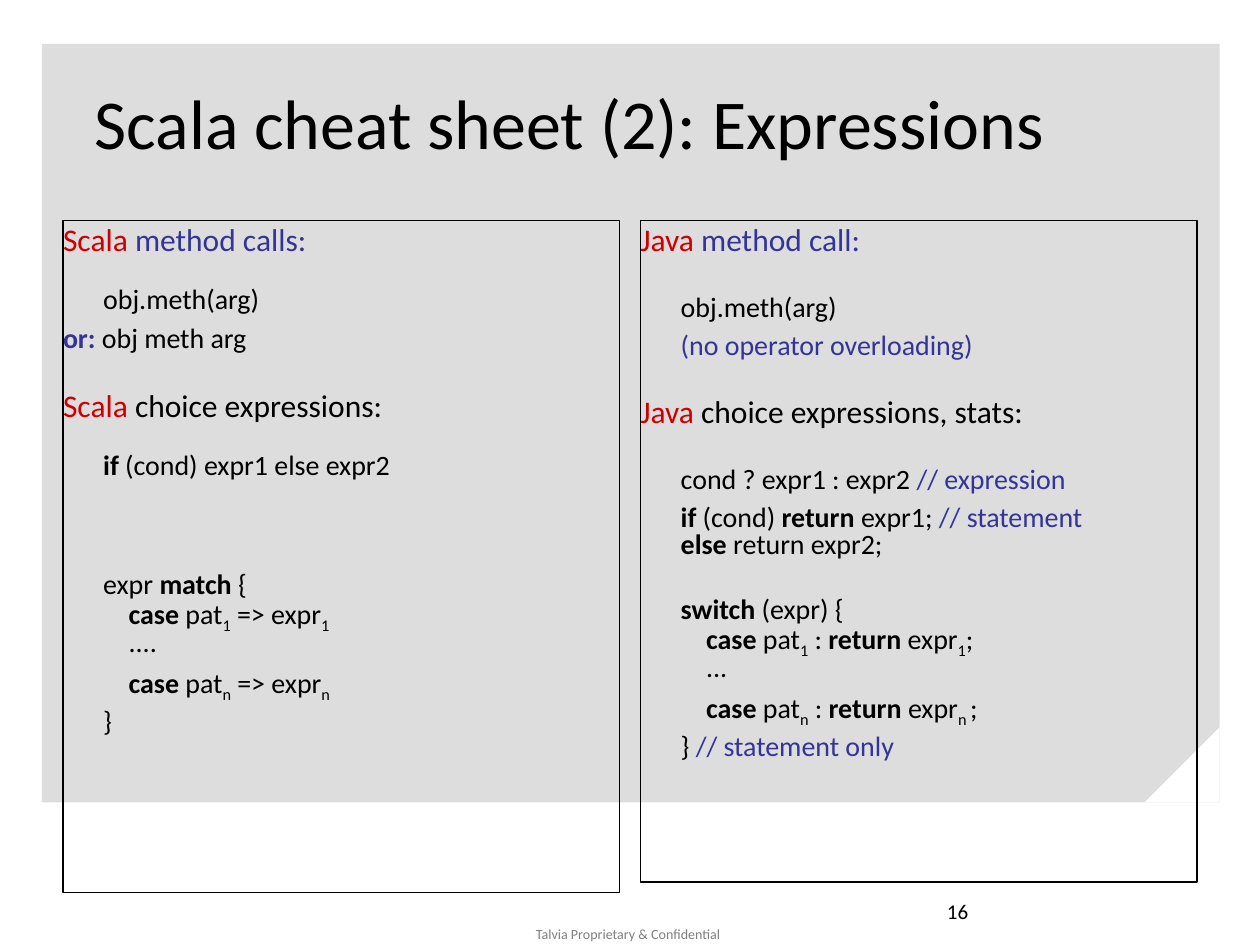
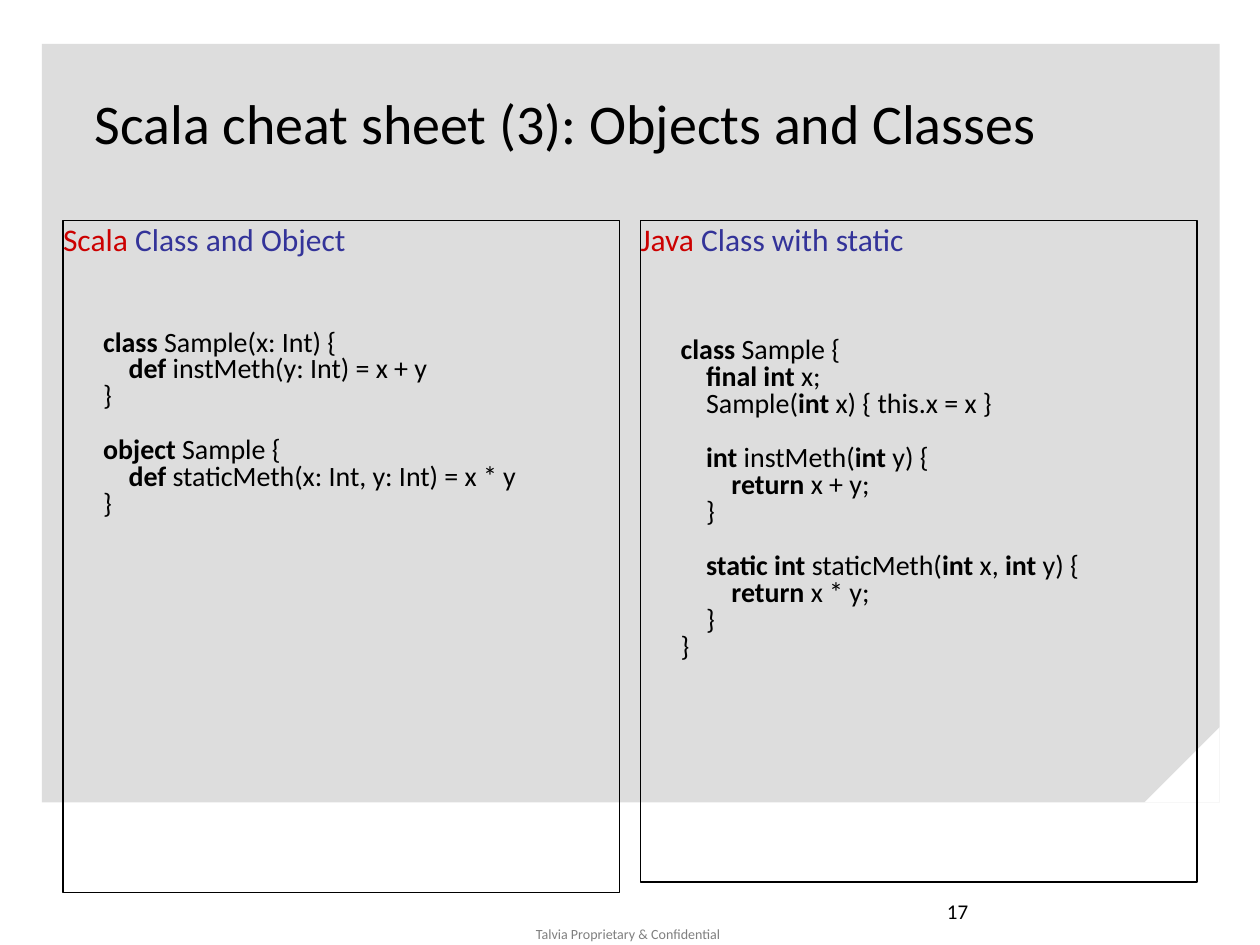
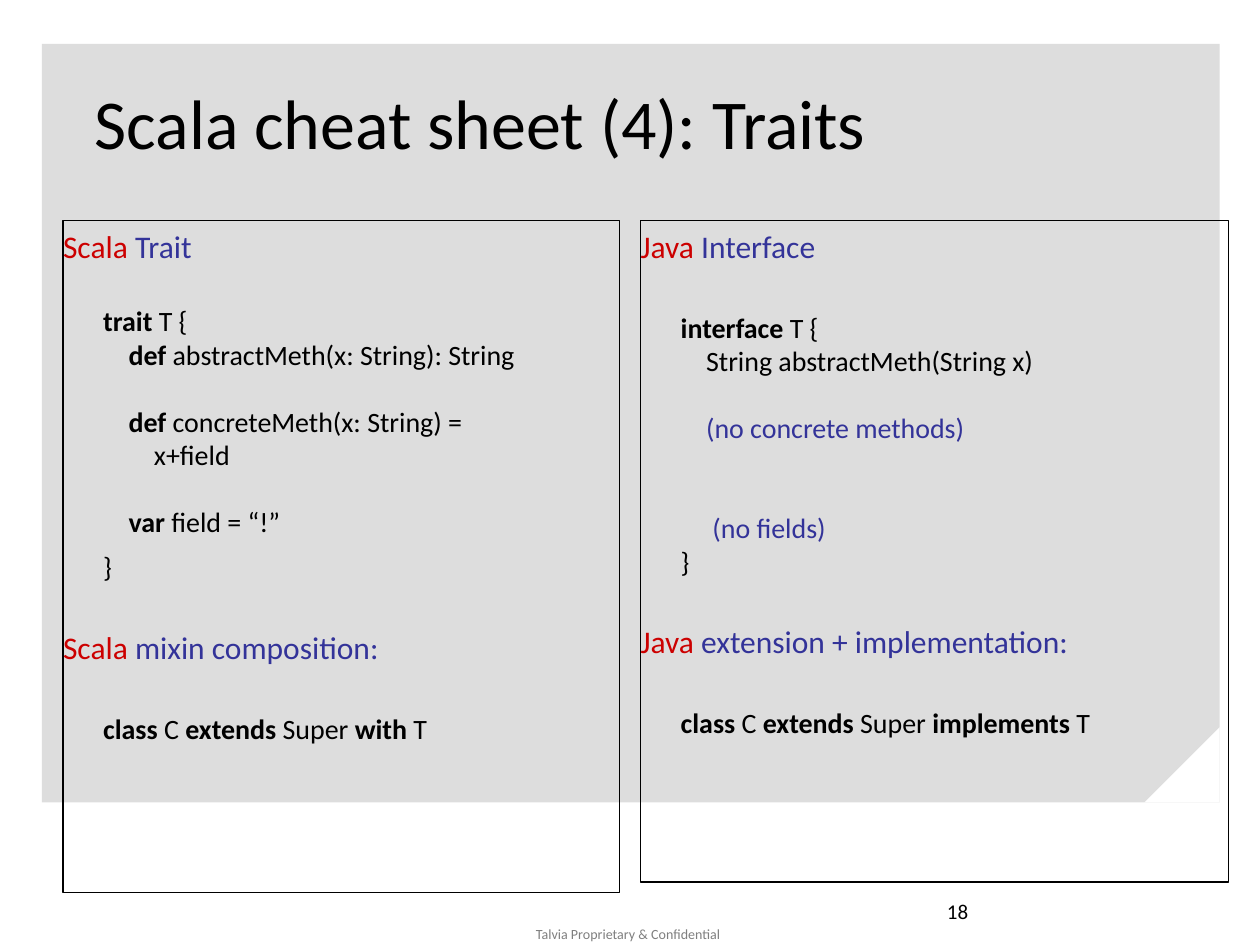
import pptx
import pptx.util
import pptx.dml.color
import pptx.enum.shapes
import pptx.enum.text
import lxml.etree

Pt = pptx.util.Pt
COLORS = {"band": "DDDDDD", "paper": "FFFFFF", "ink": "000000",
          "language": "CC0000", "note": "333399", "footer": "7F7F7F"}
FONT = "Calibri"
FOOTER = "Talvia Proprietary & Confidential"
HEADING_SIZE, CODE_SIZE = 18, 16
CODE_INDENT, NEST_INDENT = 23, 14.5

# Marks used inside the lines below, as in "[b|case] pat[s|1]"
MARKS = {"r": {"color": "language"}, "c": {"color": "note"},
         "k": {"color": "note", "bold": True}, "b": {"bold": True},
         "s": {"subscript": True}}

BODY_FORMAT = {"word_wrap": True, "auto_size": pptx.enum.text.MSO_AUTO_SIZE.NONE,
               "margin_left": 0, "margin_right": 0,
               "margin_top": Pt(3.6), "margin_bottom": Pt(3.6)}
TITLE_FORMAT = {**BODY_FORMAT, "vertical_anchor": pptx.enum.text.MSO_ANCHOR.MIDDLE}
FOOTER_FORMAT = {"word_wrap": True, "margin_top": 0, "margin_bottom": 0}

# A line is (level, space before, text); level 0 is flush left.
# A line whose text starts with a language name in red is a heading.
SLIDES = [
    {"title": "Scala cheat sheet (2): Expressions", "title_size": 40,
     "number": 16, "line_spacing": 0.8, "right_width": 318,
     "left": [
         (0, 0, "[r|Scala] [c|method calls:]"),
         (1, 17.5, "obj.meth(arg)"),
         (0, 7, "[k|or:] obj meth arg"),
         (0, 22.8, "[r|Scala] choice expressions:"),
         (1, 17.5, "[b|if] (cond) expr1 else expr2"),
         (1, 52.5, "expr [b|match] {"),
         (2, 0, "[b|case] pat[s|1] => expr[s|1]"),
         (2, 0, "...."),
         (2, 6.4, "[b|case] pat[s|n] => expr[s|n]"),
         (1, 6.4, "}")],
     "right": [
         (0, 0, "[r|Java] [c|method call:]"),
         (1, 22, "obj.meth(arg)"),
         (1, 6.4, "[c|(no operator overloading)]"),
         (0, 22, "[r|Java] choice expressions, stats:"),
         (1, 22, "cond ? expr1 : expr2 [c|// expression]"),
         (1, 6.4, "[b|if] (cond) [b|return] expr1; [c|// statement]"),
         (1, 0, "[b|else] return expr2;"),
         (1, 22, "[b|switch] (expr) {"),
         (2, 0, "[b|case] pat[s|1] : [b|return] expr[s|1];"),
         (2, 0, "..."),
         (2, 6.4, "[b|case] pat[s|n] : [b|return] expr[s|n ];"),
         (1, 6.4, "} [c|// statement only]")]},
    {"title": "Scala cheat sheet (3): Objects and Classes", "title_size": 32,
     "number": 17, "line_spacing": 0.8, "right_width": 318,
     "left": [
         (0, 0, "[r|Scala] [c|Class and Object]"),
         (1, 42, "[b|class] Sample(x: Int) {"),
         (2, 0, "[b|def] instMeth(y: Int) = x + y"),
         (1, 0, "}"),
         (1, 15.5, "[b|object] Sample {"),
         (2, 0, "[b|def] staticMeth(x: Int, y: Int) = x * y"),
         (1, 0, "}")],
     "right": [
         (0, 0, "[r|Java] [c|Class with static]"),
         (1, 46.5, "[b|class] Sample {"),
         (2, 0, "[b|final int] x;"),
         (2, 0, "Sample([b|int] x) { this.x = x }"),
         (2, 15.5, "[b|int] instMeth([b|int] y) {"),
         (3, 0, "[b|return] x + y;"),
         (2, 0, "}"),
         (2, 15.5, "[b|static int] staticMeth([b|int] x, [b|int] y) {"),
         (3, 0, "[b|return] x * y;"),
         (2, 0, "}"),
         (1, 0, "}")]},
    {"title": "Scala cheat sheet (4): Traits", "title_size": 40,
     "number": 18, "line_spacing": 1.0, "right_width": 336,
     "left": [
         (0, 0, "[r|Scala] [c|Trait]"),
         (1, 22.5, "[b|trait] T {"),
         (2, 0, "[b|def] abstractMeth(x: String): String"),
         (2, 19, "[b|def] concreteMeth(x: String) ="),
         (3, 0, "x+field"),
         (2, 19, "[b|var] field = \u201c!\u201d"),
         (1, 6.4, "}"),
         (0, 25.5, "[r|Scala] [c|mixin composition:]"),
         (1, 26, "[b|class] C [b|extends] Super [b|with] T")],
     "right": [
         (0, 0, "[r|Java] [c|Interface]"),
         (1, 26, "[b|interface] T {"),
         (2, 0, "String abstractMeth(String x)"),
         (2, 19, "[c|(no concrete methods)]"),
         (2.25, 38, "[c|(no fields)]"),
         (1, 0, "}"),
         (0, 25.5, "[r|Java] [c|extension + implementation:]"),
         (1, 26, "[b|class] C [b|extends] Super [b|implements] T")]},
]


def add_run(paragraph, text, size, color="ink", bold=False, subscript=False):
    """Append a run of text with its font, size and colour."""
    run = paragraph.add_run()
    run.text = text
    for name, value in {"name": FONT, "size": Pt(size), "bold": bold}.items():
        setattr(run.font, name, value)
    run.font.color.rgb = pptx.dml.color.RGBColor.from_string(COLORS[color])
    if subscript:
        run.font._element.set("baseline", "-25000")


def format_shape(shape, box, frame_format):
    """Place a shape and set its text frame from a dict of values."""
    for name, value in zip(("left", "top", "width", "height"), box):
        setattr(shape, name, Pt(value))
    for name, value in frame_format.items():
        setattr(shape.text_frame, name, value)


presentation = pptx.Presentation()
presentation.slide_width, presentation.slide_height = Pt(720), Pt(540)
layout = presentation.slide_layouts.get_by_name("Two Content")
slides = [presentation.slides.add_slide(layout) for _ in SLIDES]

# Shared background and footer: drawn once, then moved to the slide master
shapes = slides[0].shapes
shape_types = pptx.enum.shapes.MSO_SHAPE
band = shapes.add_shape(shape_types.RECTANGLE, Pt(24), Pt(25), Pt(673), Pt(433.5))
corner = shapes.add_shape(shape_types.RIGHT_TRIANGLE, Pt(654), Pt(415.5), Pt(43), Pt(43))
corner.element.spPr.get_or_add_xfrm().set("flipH", "1")
for shape, color in ((band, "band"), (corner, "paper")):
    shape.shadow.inherit = False
    shape.fill.solid()
    shape.fill.fore_color.rgb = pptx.dml.color.RGBColor.from_string(COLORS[color])
    shape.line.fill.background()
footer = shapes.add_textbox(0, 0, 0, 0)
format_shape(footer, (295, 529, 128, 11), FOOTER_FORMAT)
footer_paragraph = footer.text_frame.paragraphs[0]
footer_paragraph.alignment = pptx.enum.text.PP_ALIGN.CENTER
add_run(footer_paragraph, FOOTER, 8, "footer")
master_tree = presentation.slide_master.shapes.element
for position, shape in enumerate((band, corner, footer)):
    shape.element.nvSpPr.cNvPr.id = 20 + position
    master_tree.insert(2 + position, shape.element)

for slide, content in zip(slides, SLIDES):
    title = slide.shapes.title
    format_shape(title, (54, 24.5, 612, 90), TITLE_FORMAT)
    title_paragraph = title.text_frame.paragraphs[0]
    title_paragraph.alignment = pptx.enum.text.PP_ALIGN.LEFT
    add_run(title_paragraph, content["title"], content["title_size"])

    number_box = slide.shapes.add_textbox(0, 0, 0, 0)
    format_shape(number_box, (534, 510, 168, 37), {"word_wrap": True})
    add_run(number_box.text_frame.paragraphs[0], str(content["number"]), 12)

    columns = ((1, "left", (36, 126, 318, 384)),
               (2, "right", (366, 126, content["right_width"], 378)))
    for index, side, box in columns:
        body = slide.placeholders[index]
        format_shape(body, box, BODY_FORMAT)
        body.line.width = Pt(0.75)
        body.line.color.rgb = pptx.dml.color.RGBColor.from_string(COLORS["ink"])
        for row, (level, space, line) in enumerate(content[side]):
            frame = body.text_frame
            paragraph = frame.add_paragraph() if row else frame.paragraphs[0]
            paragraph.space_before = Pt(space)
            paragraph.line_spacing = content["line_spacing"]
            properties = paragraph._p.get_or_add_pPr()
            indent = CODE_INDENT + NEST_INDENT * (level - 1) if level else 0
            properties.set("marL", str(Pt(indent)))
            properties.set("indent", "0")
            lxml.etree.SubElement(properties, pptx.oxml.ns.qn("a:buNone"))
            size = HEADING_SIZE if line.startswith("[r|") else CODE_SIZE
            for part, text in enumerate(line.replace("]", "[").split("[")):
                if part % 2:
                    mark, text = text.split("|")
                    add_run(paragraph, text, size, **MARKS[mark])
                elif text:
                    add_run(paragraph, text, size)

presentation.save("out.pptx")
